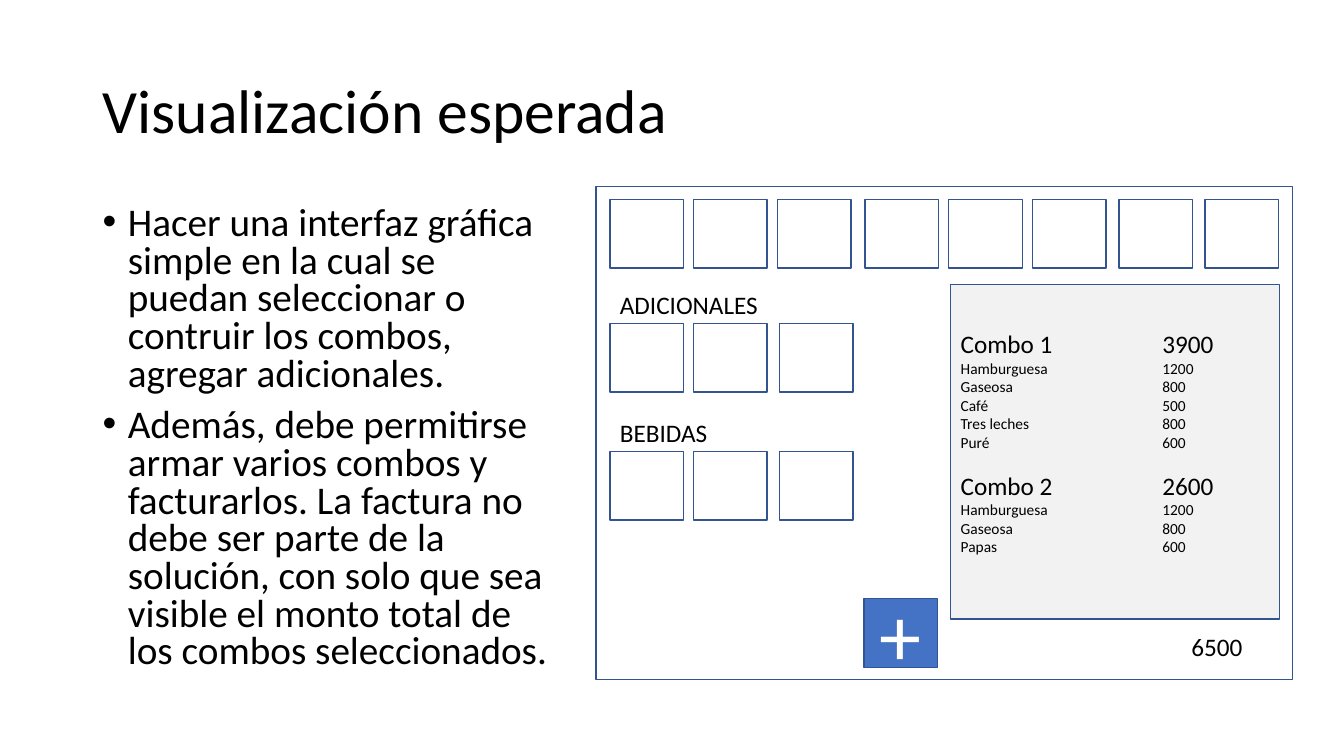
from pptx import Presentation
from pptx.dml.color import RGBColor
from pptx.enum.shapes import MSO_SHAPE
from pptx.enum.text import MSO_ANCHOR, PP_ALIGN
from pptx.oxml.ns import qn
from pptx.util import Inches, Pt
from lxml import etree

RECT = MSO_SHAPE.RECTANGLE
MIDDLE, TOP = MSO_ANCHOR.MIDDLE, MSO_ANCHOR.TOP
LEFT, CENTER, RIGHT = PP_ALIGN.LEFT, PP_ALIGN.CENTER, PP_ALIGN.RIGHT

BLACK = RGBColor(0x00, 0x00, 0x00)
WHITE = RGBColor(0xFF, 0xFF, 0xFF)
GRAY = RGBColor(0xF2, 0xF2, 0xF2)
BLUE = RGBColor(0x44, 0x72, 0xC4)
NAVY = RGBColor(0x32, 0x54, 0x91)
FONT = "Calibri"

GOALS = [
    "Hacer una interfaz gráfica simple en la cual se puedan seleccionar o "
    "contruir los combos, agregar adicionales. ",
    "Además, debe permitirse armar varios combos y facturarlos. La factura no "
    "debe ser parte de la solución, con solo que sea visible el monto total de "
    "los combos seleccionados.",
]
COMBOS = [
    [("Combo 1", 3900), ("Hamburguesa", 1200), ("Gaseosa", 800),
     ("Café", 500), ("Tres leches", 800), ("Puré", 600)],
    [("Combo 2", 2600), ("Hamburguesa", 1200), ("Gaseosa", 800),
     ("Papas", 600)],
]
MENU = [6.05, 6.88, 7.71, 8.58, 9.41, 10.24, 11.1, 11.95]
EXTRAS = [6.05, 6.88, 7.73]


def style(para, size, color=BLACK, align=LEFT):
    para.alignment = align
    for run in para.runs:
        run.font.size = Pt(size)
        run.font.name = FONT
        run.font.color.rgb = color


def add_text(slide, box, lines, size, align=LEFT, anchor=TOP):
    frame = slide.shapes.add_textbox(*map(Inches, box)).text_frame
    frame.word_wrap = True
    frame.vertical_anchor = anchor
    frame.text = "\n".join(lines)
    for para in frame.paragraphs:
        style(para, size, align=align)
    return frame


def add_rect(slide, box, fill=WHITE):
    rect = slide.shapes.add_shape(RECT, *map(Inches, box))
    rect.shadow.inherit = False
    rect.fill.solid()
    rect.fill.fore_color.rgb = fill
    rect.line.color.rgb = NAVY
    rect.line.width = Pt(1)
    return rect


def add_tile(slide, left, top, fill=WHITE):
    return add_rect(slide, (left, top, 0.73, 0.68), fill)


def set_bullet(para):
    props = para._p.get_or_add_pPr()
    props.set("marL", str(Inches(0.25)))
    props.set("indent", str(-Inches(0.25)))
    font = etree.SubElement(props, qn("a:buFont"))
    font.set("typeface", "Arial")
    etree.SubElement(props, qn("a:buChar")).set("char", "•")


def set_tab(para, pos):
    stops = etree.SubElement(para._p.get_or_add_pPr(), qn("a:tabLst"))
    stop = etree.SubElement(stops, qn("a:tab"))
    stop.set("pos", str(Inches(pos)))
    stop.set("algn", "l")


def add_goals(slide):
    frame = add_text(slide, (0.92, 2, 4.77, 4.76), GOALS, 28)
    for para in frame.paragraphs:
        para.line_spacing = 0.8
        para.space_before = Pt(10)
        set_bullet(para)


def add_bill(slide):
    frame = add_rect(slide, (9.43, 2.82, 3.26, 3.32), GRAY).text_frame
    frame.word_wrap = True
    frame.vertical_anchor = MIDDLE
    frame.margin_bottom = Inches(0.24)
    rows = [row for combo in COMBOS for row in combo]
    frame.text = "\n".join(f"{name}\t{price}" for name, price in rows)
    heads = [combo[0] for combo in COMBOS]
    for row, para in zip(rows, frame.paragraphs):
        style(para, 18 if row in heads else 11)
        if row in heads[1:]:
            para.space_before = Pt(13.4)
        set_tab(para, 2)


def add_group(slide, name, top):
    add_text(slide, (6.05, top, 2.39, 0.4), [name], 18)
    for left in EXTRAS:
        add_tile(slide, left, top + 0.39)


def main():
    deck = Presentation()
    deck.slide_width, deck.slide_height = Inches(13.33), Inches(7.5)
    slide = deck.slides.add_slide(deck.slide_layouts[6])

    # Title and goals
    title = add_text(slide, (0.92, 0.4, 11.5, 1.45),
                     ["Visualización esperada"], 44, anchor=MIDDLE)
    title.paragraphs[0].line_spacing = 0.9
    add_goals(slide)

    # Window with the bill and the menu row
    add_rect(slide, (5.91, 1.85, 6.91, 4.89))
    add_bill(slide)
    for left in MENU:
        add_tile(slide, left, 1.98)

    # Extras and drinks
    add_group(slide, "ADICIONALES", 2.82)
    add_group(slide, "BEBIDAS", 4.09)

    # Add button and total
    plus = add_tile(slide, 8.57, 5.94, BLUE).text_frame
    plus.vertical_anchor = MIDDLE
    plus.text = "+"
    style(plus.paragraphs[0], 60, WHITE, CENTER)
    add_text(slide, (11.1, 6.21, 1.32, 0.42), ["6500"], 18, RIGHT)

    deck.save("out.pptx")


main()
